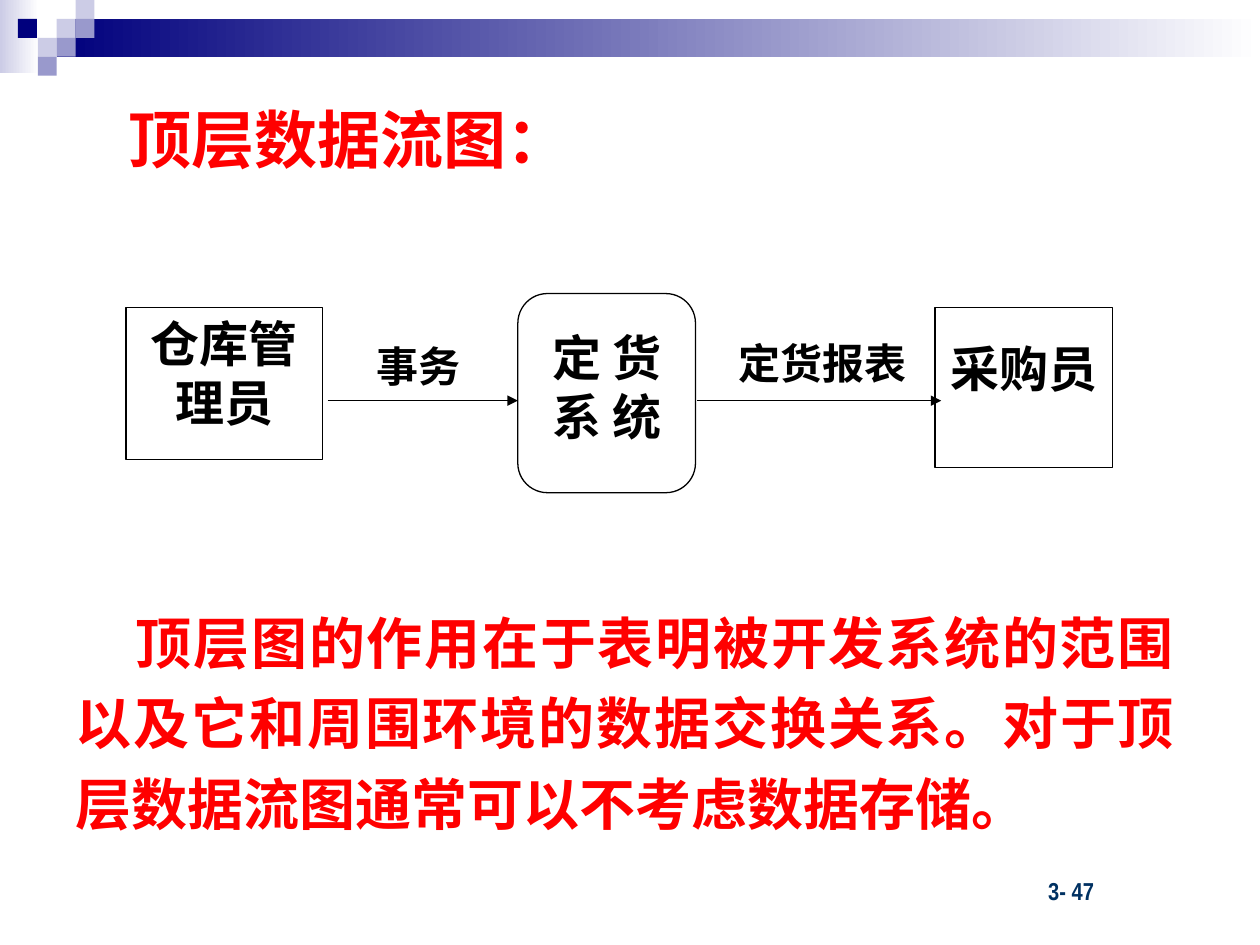
"""Build the top-level data flow diagram slide."""
from lxml.etree import SubElement as Sub
from pptx import Presentation as Deck
from pptx.dml.color import RGBColor as Rgb
from pptx.enum.shapes import MSO_CONNECTOR as Conn, MSO_SHAPE as Kind
from pptx.enum.text import PP_ALIGN as Al
from pptx.oxml.ns import qn
from pptx.util import Inches, Pt

HUE = {"navy": "00007D", "mid": "9999CC", "pale": "CCCCE6", "white": "FFFFFF",
       "red": "FF0000", "black": "000000", "page": "003162"}
HUE = {key: Rgb.from_string(hex) for key, hex in HUE.items()}
SANS = "Noto Sans CJK SC"

deck = Deck()
deck.slide_width, deck.slide_height = Inches(10), Inches(7.5)
wide, high = deck.slide_width / 100, deck.slide_height / 100
slide = deck.slides.add_slide(deck.slide_layouts[6])
art = slide.shapes


def place(x, y, w, h, kind=None):
    box = [int(x * wide), int(y * high), int(w * wide), int(h * high)]
    if kind is None:
        return art.add_textbox(*box)
    item = art.add_shape(kind, *box)
    item.shadow.inherit = False
    return item


def write(item, text, size, hue, align, face=SANS, top=0.05, left=0, first=0, gap=None):
    frame = item.text_frame
    look = {"word_wrap": True, "margin_top": Inches(top), "margin_bottom": Inches(0.05),
            "margin_left": Inches(0.1), "margin_right": Inches(0.1), "vertical_anchor": 1}
    for key, val in look.items():
        setattr(frame, key, val)
    para = frame.paragraphs[0]
    para.alignment, para.line_spacing = align, gap
    prop = para._p.get_or_add_pPr()
    prop.set("marL", str(Inches(left)))
    prop.set("indent", str(Inches(first)))
    run = para.add_run()
    run.text = text
    font = {"size": Pt(size), "bold": True, "name": face}
    for key, val in font.items():
        setattr(run.font, key, val)
    run.font.color.rgb = HUE[hue]
    Sub(run.font._element, qn("a:ea")).set("typeface", face)


for x, y, w, h, hue in [(0, 0, 3.1, 7.75, "pale"), (4.5, 2, 95.5, 4, "navy")]:
    band = place(x, y, w, h, Kind.RECTANGLE)
    band.line.fill.background()
    band.fill.gradient()
    band.fill.gradient_angle = 0
    for stop, tone in zip(band.fill.gradient_stops, (hue, "white")):
        stop.color.rgb = HUE[tone]

for col, row, hue in [(3, 1, "pale"), (4, 0, "pale"), (4, 1, "mid"), (2, 2, "pale"),
                      (0.95, 1, "navy"), (3, 2, "mid"), (2, 3, "mid")]:
    tile = place(col * 1.5, row * 2, 1.5, 2, Kind.RECTANGLE)
    tile.line.fill.background()
    tile.fill.solid()
    tile.fill.fore_color.rgb = HUE[hue]

write(place(72.8, 92, 20.8, 4.4), "3- 47", 14, "page", Al.LEFT, "Arial Narrow", left=0.94)
write(place(9.2, 10, 52.5, 9.4), "顶层数据流图：", 36, "red", Al.JUSTIFY)
write(place(56.3, 35.07, 17.9, 8.27), "定货报表", 24, "black", Al.CENTER)
write(place(28.9, 35.33, 12.7, 6.93), "事务", 24, "black", Al.JUSTIFY)

for x, y, w, h, kind, text, top in [
        (41.1, 31.07, 14.1, 21.07, Kind.FLOWCHART_ALTERNATE_PROCESS, "定 货系 统", 0.2),
        (10, 32.53, 15.6, 16.13, Kind.RECTANGLE, "仓库管理员", 0.05),
        (74.2, 32.53, 14.1, 16.93, Kind.RECTANGLE, "采购员", 0.25)]:
    node = place(x, y, w, h, kind)
    node.fill.background()
    node.line.color.rgb, node.line.width = HUE["black"], Pt(0.75)
    write(node, text, 28, "black", Al.CENTER, top=top)

for start, end in [(26, 41.1), (55.3, 74.7)]:
    level = int(42.4 * high)
    flow = art.add_connector(Conn.STRAIGHT, int(start * wide), level, int(end * wide), level)
    flow.line.color.rgb, flow.line.width = HUE["black"], Pt(0.75)
    Sub(flow.line._get_or_add_ln(), qn("a:tailEnd")).set("type", "triangle")
    Sub(flow._element.spPr, qn("a:effectLst"))

write(place(5, 62.27, 89.2, 26.93),
      "顶层图的作用在于表明被开发系统的范围以及它和周围环境的数据交换关系。"
      "对于顶层数据流图通常可以不考虑数据存储。",
      32, "red", Al.JUSTIFY, first=0.48, gap=1.2)

deck.save("out.pptx")
